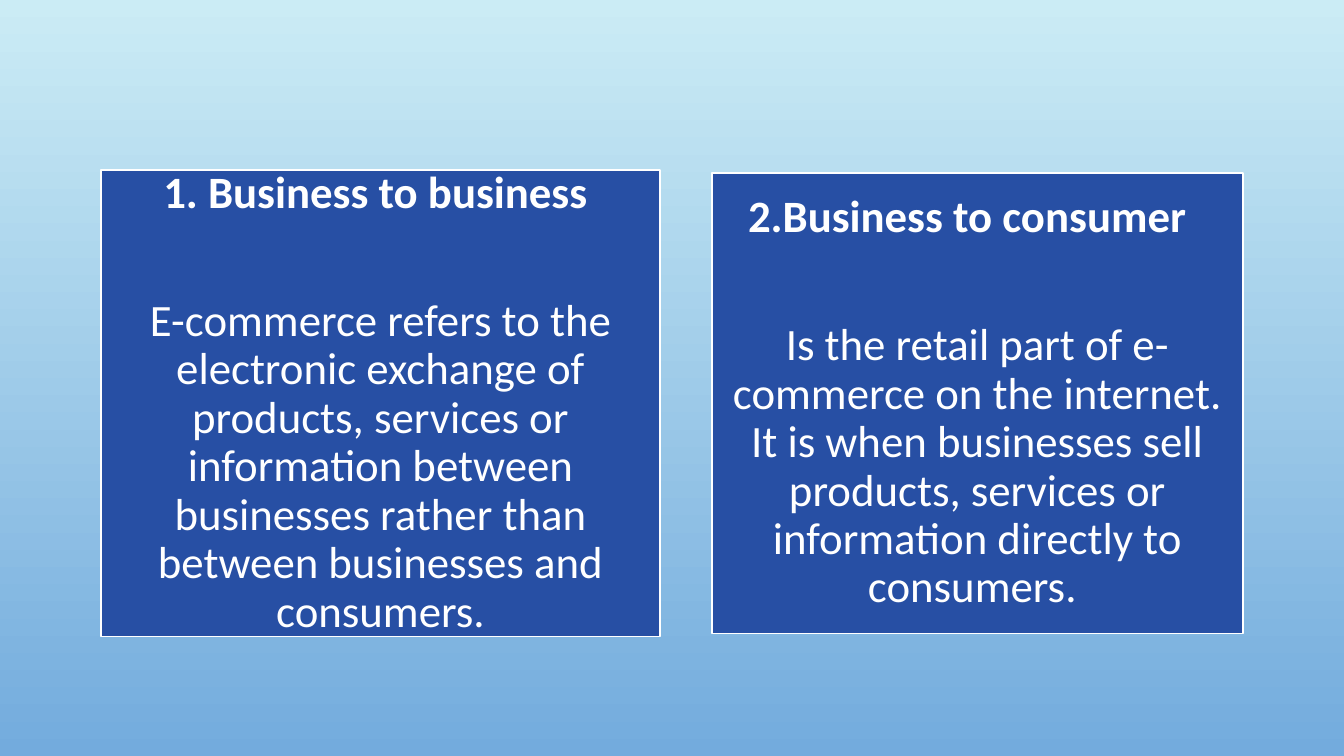
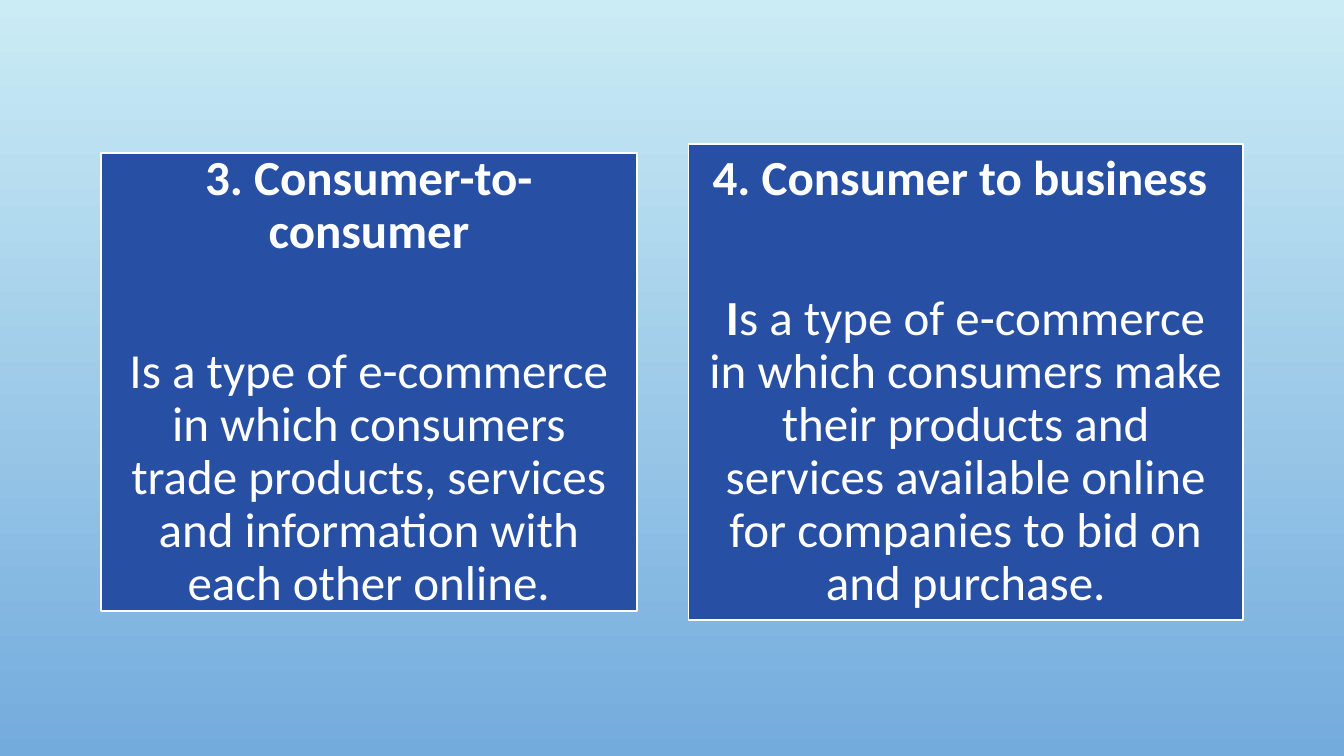
from pptx import Presentation
from pptx.dml.color import RGBColor
from pptx.enum.shapes import MSO_SHAPE
from pptx.enum.text import MSO_ANCHOR, PP_ALIGN
from pptx.util import Inches, Pt

COLORS = {"sky": "CBECF5", "blue": "73ABDD", "card": "274FA4", "white": "FFFFFF"}
FONT = "Calibri"
LEFT, GAP = 1, 0.51
LEAD = 1.77  # gap under a heading, in text sizes

# Each slide: text size, inset, middle height, cards.
# Each card: width, height, heading, bold start of the body, rest of the body.
SLIDES = [
    (32, 0.13, 4, [
        (5.55, 4.63, "1. Business to business ", "",
         "E-commerce refers to the electronic exchange of products, services or "
         "information between businesses rather than between businesses and consumers."),
        (5.27, 4.57, "2.Business to consumer  ", "",
         "Is the retail part of e-commerce on the internet. It is when businesses "
         "sell products, services or information directly to consumers. "),
    ]),
    (35, 0.15, 3.79, [
        (5.32, 4.55, "3. Consumer-to-consumer", "",
         "Is a type of e-commerce in which consumers trade products, services "
         "and information with each other online."),
        (5.5, 4.72, "4. Consumer to business ", "I",
         "s a type of e-commerce in which consumers make their products and "
         "services available online for companies to bid on and purchase."),
    ]),
]


def color(name):
    return RGBColor.from_string(COLORS[name])


# Shared background
def paint(master):
    fill = master.background.fill
    fill.gradient()
    fill.gradient_angle = 270
    for stop, name in zip(fill.gradient_stops, ("sky", "blue")):
        stop.color.rgb = color(name)


# Text styles
def style(para, size):
    para.alignment = PP_ALIGN.CENTER
    para.line_spacing = 0.9
    font = para.font
    font.name, font.size = FONT, Pt(size)
    font.color.rgb = color("white")


def write(frame, size, head, start, rest):
    title = frame.paragraphs[0]
    title.text = head
    style(title, size)
    title.font.bold = True
    body = frame.add_paragraph()
    style(body, size)
    body.space_before = Pt(round(size * LEAD))
    if start:
        run = body.add_run()
        run.text = start
        run.font.bold = True
    body.add_run().text = rest


# Card with heading and body
def card(slide, left, mid, width, height, inset):
    box = slide.shapes.add_shape(
        MSO_SHAPE.RECTANGLE, Inches(left), Inches(mid - height / 2),
        Inches(width), Inches(height))
    box.shadow.inherit = False
    box.fill.solid()
    box.fill.fore_color.rgb = color("card")
    box.line.color.rgb = color("white")
    box.line.width = Pt(1.25)
    frame = box.text_frame
    frame.word_wrap = True
    frame.vertical_anchor = MSO_ANCHOR.MIDDLE
    frame.margin_left = frame.margin_right = Inches(inset)
    frame.margin_top = frame.margin_bottom = Inches(inset)
    return frame


def main():
    deck = Presentation()
    deck.slide_width, deck.slide_height = Inches(13.33), Inches(7.5)
    paint(deck.slide_master)
    for size, inset, mid, cards in SLIDES:
        slide = deck.slides.add_slide(deck.slide_layouts[6])
        left = LEFT
        for width, height, *words in cards:
            frame = card(slide, left, mid, width, height, inset)
            write(frame, size, *words)
            left += width + GAP
    deck.save("out.pptx")


if __name__ == "__main__":
    main()
